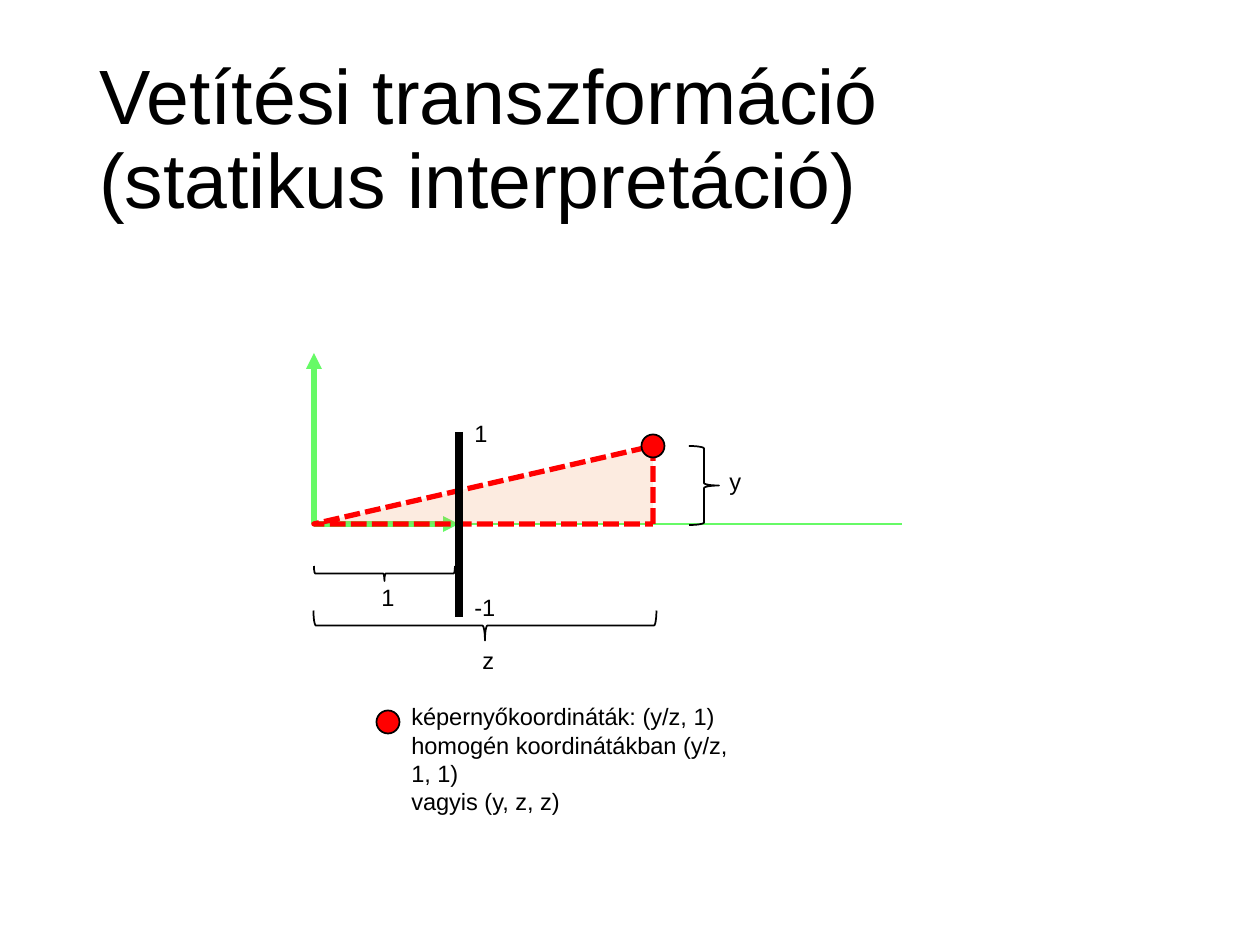
from lxml.etree import SubElement
from pptx import Presentation
from pptx.dml.color import RGBColor
from pptx.enum.dml import MSO_LINE
from pptx.enum.shapes import MSO_CONNECTOR, MSO_SHAPE
from pptx.enum.text import MSO_ANCHOR, MSO_AUTO_SIZE
from pptx.oxml.ns import qn
from pptx.util import Emu, Inches, Pt

PX = Inches(1) / 126
COLORS = {"axis": "66FA66", "ray": "FF0000", "area": "ED7D31", "ink": "000000"}
FONT = "Arial"

ORIGIN = (314, 524)
SCREEN_X, POINT_X, POINT_Y = 459, 653, 446
DOT = 23

axes = [
    (ORIGIN, (314, 353), 3, True),
    (ORIGIN, (SCREEN_X, 524), 3, True),
    (ORIGIN, (902, 524), 1, False),
]
screen = ((SCREEN_X, 432), (SCREEN_X, 617))
braces = [
    ((470, 454, 30, 343), 270),
    ((689, 446, 30, 79), 180),
    ((377, 503, 15, 141), 270),
]
dots = [(POINT_X, POINT_Y), (388, 722)]

title = ((87, 50, 1086, 183), ["Vetítési transzformáció\v(statikus interpretáció)"], 44,
         {"word_wrap": True, "vertical_anchor": MSO_ANCHOR.MIDDLE}, {"line_spacing": 0.9})
FIT = {"word_wrap": True, "auto_size": MSO_AUTO_SIZE.SHAPE_TO_FIT_TEXT}
NO_WRAP = {**FIT, "word_wrap": False}
labels = [
    ((470, 640, 34, 42), ["z"], NO_WRAP),
    ((717, 461, 34, 42), ["y"], NO_WRAP),
    ((462, 413, 39, 42), ["1"], FIT),
    ((462, 587, 47, 42), ["-1"], FIT),
    ((369, 577, 39, 42), ["1"], FIT),
    ((399, 696, 364, 98), ["képernyőkoordináták: (y/z, 1)",
                           "homogén koordinátákban (y/z, 1, 1)",
                           "vagyis (y, z, z)"], FIT),
]


def emu(*lengths):
    return [Emu(round(length * PX)) for length in lengths]


def rgb(name):
    return RGBColor.from_string(COLORS[name])


def apply(target, values):
    for name, value in values.items():
        setattr(target, name, value)


def stroke(line, color, width):
    line.color.rgb = rgb(color)
    line.width = Pt(width)


def add_line(start, end, color, width, arrow=False):
    connector = shapes.add_connector(MSO_CONNECTOR.STRAIGHT, *emu(*start, *end))
    stroke(connector.line, color, width)
    properties = connector._element.spPr
    if arrow:
        SubElement(properties.find(qn("a:ln")), qn("a:tailEnd"), type="triangle")
    SubElement(properties, qn("a:effectLst"))


def add_figure(preset, box, color, width, fill=None):
    figure = shapes.add_shape(preset, *emu(*box))
    figure.shadow.inherit = False
    stroke(figure.line, color, width)
    if fill:
        figure.fill.solid()
        figure.fill.fore_color.rgb = rgb(fill)
    else:
        figure.fill.background()
    return figure


def add_text(box, lines, size, frame_format, paragraph_format):
    frame = shapes.add_textbox(*emu(*box)).text_frame
    frame.text = "\n".join(lines)
    apply(frame, frame_format)
    for paragraph in frame.paragraphs:
        apply(paragraph, paragraph_format)
        for run in paragraph.runs:
            apply(run.font, {"name": FONT, "size": Pt(size)})
            run.font.color.rgb = rgb("ink")


presentation = Presentation()
apply(presentation, {"slide_width": Inches(10), "slide_height": Inches(7.5)})
shapes = presentation.slides.add_slide(presentation.slide_layouts[6]).shapes

add_text(*title)
for start, end, width, arrow in axes:
    add_line(start, end, "axis", width, arrow)

left, bottom = ORIGIN
triangle = add_figure(MSO_SHAPE.RIGHT_TRIANGLE,
                      (left, POINT_Y, POINT_X - left, bottom - POINT_Y), "ray", 3, "area")
triangle.line.dash_style = MSO_LINE.SQUARE_DOT
triangle._element.spPr.find(qn("a:xfrm")).set("flipH", "1")
area_color = triangle._element.spPr.find(qn("a:solidFill"))[0]
SubElement(area_color, qn("a:alpha"), val="15000")

for box, rotation in braces:
    brace = add_figure(MSO_SHAPE.LEFT_BRACE, box, "ink", 1)
    brace.rotation = rotation

add_line(*screen, "ink", 4.5)
for x, y in dots:
    add_figure(MSO_SHAPE.OVAL, (x - DOT / 2, y - DOT / 2, DOT, DOT), "ink", 1, "ray")
for box, lines, frame_format in labels:
    add_text(box, lines, 13.5, frame_format, {})

presentation.save("out.pptx")
